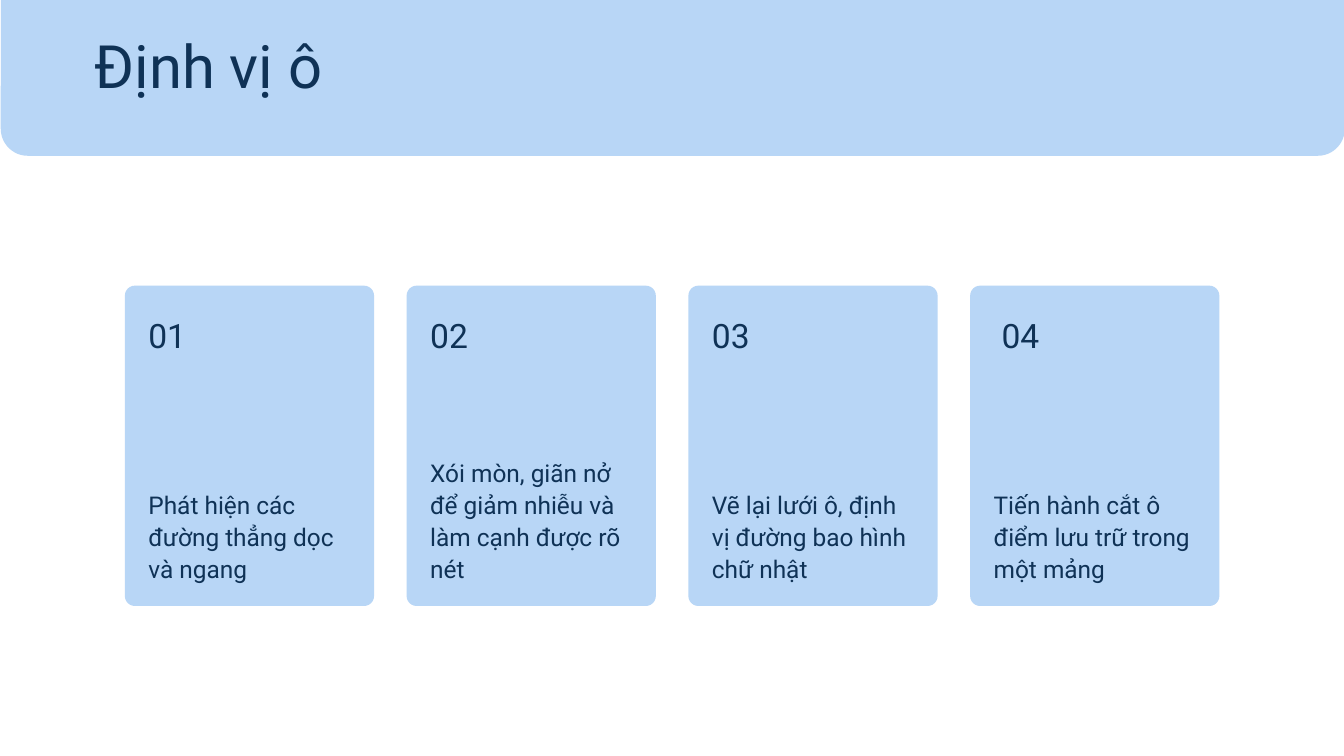
from pptx import Presentation
from pptx.dml.color import RGBColor
from pptx.enum.shapes import MSO_SHAPE
from pptx.util import Cm, Pt

ROUNDED = MSO_SHAPE.ROUNDED_RECTANGLE
FONT = "Roboto"
COLORS = {"panel": "B8D6F6", "text": "0F3256"}

TITLE = "Định vị ô"
# number, its extra shift to the right in cm, caption, caption lines
STEPS = [
    ("01", 0, "Phát hiện các đường thẳng dọc và ngang", 3),
    ("02", 0, "Xói mòn, giãn nở để giảm nhiễu và làm cạnh được rõ nét", 4),
    ("03", 0, "Vẽ lại lưới ô, định vị đường bao hình chữ nhật", 3),
    ("04", 0.3, "Tiến hành cắt ô điểm lưu trữ trong một mảng", 3),
]

# Lengths in cm
CARD_LEFT, CARD_TOP, CARD_WIDTH, CARD_HEIGHT = 4.72, 10.8, 9.42, 12.11
CARD_PITCH = 10.65
CARD_RADIUS = 0.38
PADDING = 0.89
CAPTION_WIDTH, CAPTION_LINE = 7.55, 1.195


def add_panel(slide, left, top, width, height, radius):
    panel = slide.shapes.add_shape(ROUNDED, Cm(left), Cm(top), Cm(width), Cm(height))
    panel.adjustments[0] = radius / min(width, height)
    panel.shadow.inherit = False
    panel.fill.solid()
    panel.fill.fore_color.rgb = RGBColor.from_string(COLORS["panel"])
    panel.line.fill.background()


def add_text(slide, text, left, top, width, height, size, spacing):
    box = slide.shapes.add_textbox(Cm(left), Cm(top), Cm(width), Cm(height))
    frame = box.text_frame
    frame.word_wrap = True
    frame.margin_left = frame.margin_top = frame.margin_right = frame.margin_bottom = 0
    para = frame.paragraphs[0]
    para.line_spacing = Pt(spacing)
    span = para.add_run()
    span.text = text
    span.font.name = FONT
    span.font.size = Pt(size)
    span.font.color.rgb = RGBColor.from_string(COLORS["text"])


def main():
    deck = Presentation()
    deck.slide_width, deck.slide_height = Cm(50.8), Cm(28.58)
    slide = deck.slides.add_slide(deck.slide_layouts[6])

    add_panel(slide, 0.03, -0.89, 50.8, 6.78, 1.02)
    add_text(slide, TITLE, 3.58, 1.52, 26.26, 2.31, 64, 64.7)

    for index, (number, shift, caption, lines) in enumerate(STEPS):
        left = CARD_LEFT + index * CARD_PITCH
        text_left = left + PADDING
        caption_height = lines * CAPTION_LINE
        caption_top = CARD_TOP + CARD_HEIGHT - PADDING - caption_height
        add_panel(slide, left, CARD_TOP, CARD_WIDTH, CARD_HEIGHT, CARD_RADIUS)
        add_text(slide, caption, text_left, caption_top, CAPTION_WIDTH, caption_height, 26.2, 34.1)
        add_text(slide, number, text_left + shift, 11.43, 2.03, 1.88, 36, 56.5)

    deck.save("out.pptx")


if __name__ == "__main__":
    main()
